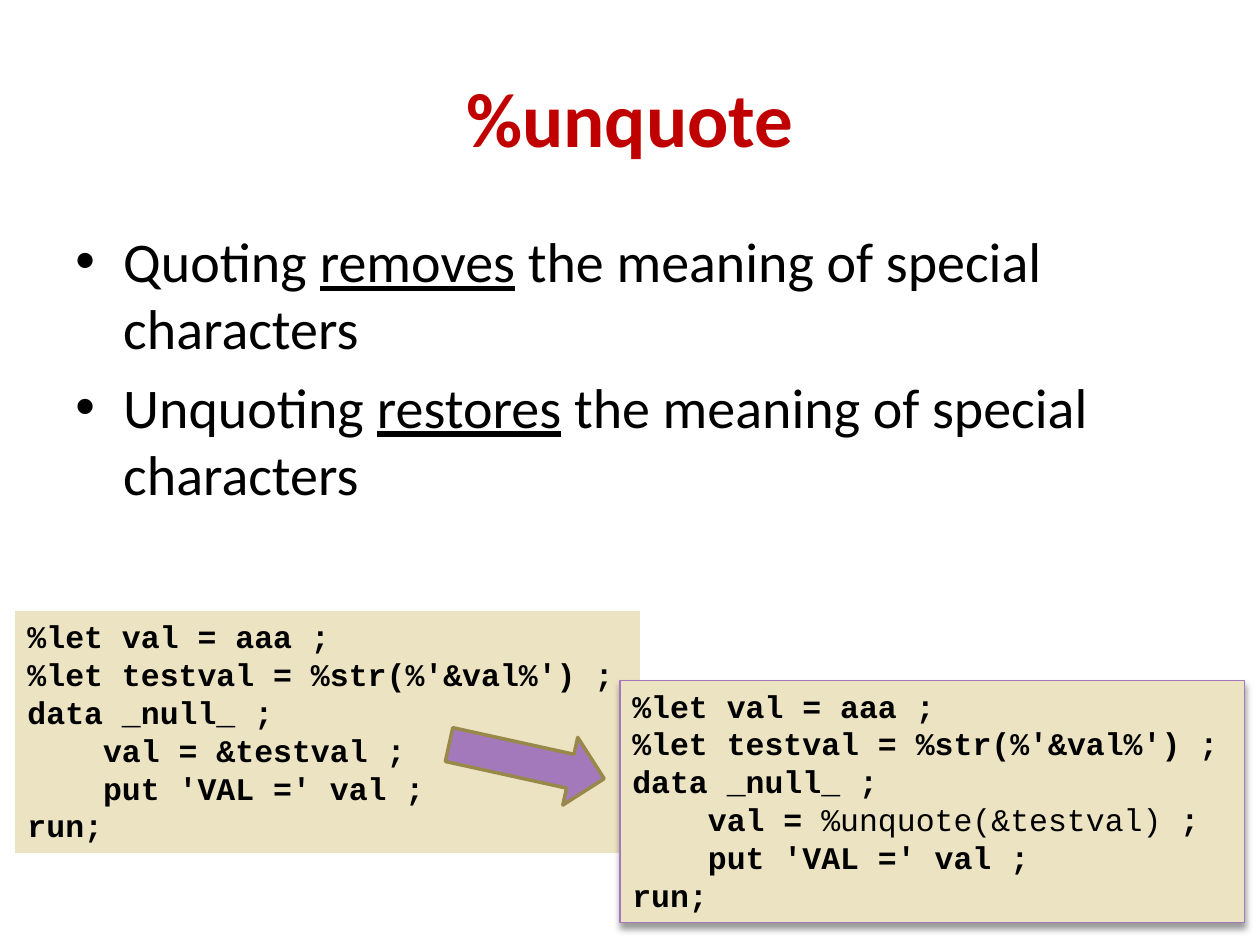
from lxml.etree import SubElement
from pptx import Presentation
from pptx.dml.color import RGBColor
from pptx.enum.shapes import MSO_SHAPE as Shape
from pptx.enum.text import MSO_ANCHOR as Anchor, PP_ALIGN as Align
from pptx.oxml.ns import qn
from pptx.util import Inches, Pt

COLORS = {"title": "C00000", "text": "000000", "code": "EBE3C2",
          "purple": "A379BB", "olive": "98894B"}
TITLE = {"name": "Calibri", "size": Pt(44), "bold": True}
BODY = {"name": "Calibri", "size": Pt(32)}
CODE = {"name": "Courier New", "size": Pt(18), "bold": True}


def color(key):
    """Return the named colour."""
    return RGBColor.from_string(COLORS[key])


def write(paragraph, runs, font, color_key="text"):
    """Add (text, changed font values) runs to a paragraph."""
    for text, changes in runs:
        run = paragraph.add_run()
        run.text = text
        for name, value in {**font, **changes}.items():
            setattr(run.font, name, value)
        run.font.color.rgb = color(color_key)


presentation = Presentation()
presentation.slide_width, presentation.slide_height = Inches(10), Inches(7.5)
slide = presentation.slides.add_slide(presentation.slide_layouts[6])

# Title
title = slide.shapes.add_textbox(Inches(0.5), Inches(0.3), Inches(9), Inches(1.25))
title.text_frame.word_wrap = True
title.text_frame.vertical_anchor = Anchor.MIDDLE
paragraph = title.text_frame.paragraphs[0]
paragraph.alignment = Align.CENTER
write(paragraph, [("%unquote", {})], TITLE, "title")

# Bullets
body = slide.shapes.add_textbox(Inches(0.5), Inches(1.75), Inches(9), Inches(4.95))
frame = body.text_frame
frame.word_wrap = True
for index, (subject, verb) in enumerate([("Quoting", "removes"), ("Unquoting", "restores")]):
    paragraph = frame.add_paragraph() if index else frame.paragraphs[0]
    paragraph.space_before = Pt(6.4)
    properties = paragraph._p.get_or_add_pPr()
    properties.set("marL", str(Inches(0.38)))
    properties.set("indent", str(-Inches(0.38)))
    SubElement(properties, qn("a:buFont"), typeface="Arial")
    SubElement(properties, qn("a:buChar"), char="\u2022")
    write(paragraph, [(f"{subject} ", {}), (verb, {"underline": True}),
                      (" the meaning of special characters", {})], BODY)

# Code boxes: they differ only in place, outline and the assigned value
quoted = [("val = &testval ;", {})]
unquoted = [("val = ", {}), ("%unquote(&testval)", {"bold": False}), (" ;", {})]
for left, top, assignment, outlined in [(0.12, 4.85, quoted, False),
                                        (4.92, 5.4, unquoted, True)]:
    box = slide.shapes.add_shape(Shape.RECTANGLE, Inches(left), Inches(top),
                                 Inches(4.96), Inches(1.92))
    box.shadow.inherit = False
    box.fill.solid()
    box.fill.fore_color.rgb = color("code")
    if outlined:
        box.line.color.rgb = color("purple")
        box.line.width = Pt(0.75)
        effects = box._element.spPr.find(qn("a:effectLst"))
        shadow = SubElement(effects, qn("a:outerShdw"), blurRad=str(Pt(4)),
                            dist=str(Pt(3)), dir="5400000", rotWithShape="0")
        shade = SubElement(shadow, qn("a:srgbClr"), val=COLORS["text"])
        SubElement(shade, qn("a:alpha"), val="40000")
    else:
        box.line.fill.background()
    frame = box.text_frame
    frame.word_wrap = True
    frame.vertical_anchor = Anchor.TOP
    lines = [(0, [("%let val = aaa ;", {})]),
             (0, [("%let testval = %str(%'&val%') ;", {})]),
             (0, [("data _null_ ;", {})]),
             (0.6, assignment),
             (0.6, [("put 'VAL =' val ;", {})]),
             (0, [("run;", {})])]
    for index, (indent, runs) in enumerate(lines):
        paragraph = frame.add_paragraph() if index else frame.paragraphs[0]
        paragraph.alignment = Align.LEFT
        paragraph._p.get_or_add_pPr().set("marL", str(Inches(indent)))
        write(paragraph, runs, CODE)

# Arrow from the first code box to the second
arrow = slide.shapes.add_shape(Shape.RIGHT_ARROW, Inches(3.55), Inches(5.77),
                               Inches(1.26), Inches(0.55))
arrow.shadow.inherit = False
arrow.rotation = 12.4
arrow.fill.solid()
arrow.fill.fore_color.rgb = color("purple")
arrow.line.color.rgb = color("olive")
arrow.line.width = Pt(2)

presentation.save("out.pptx")
